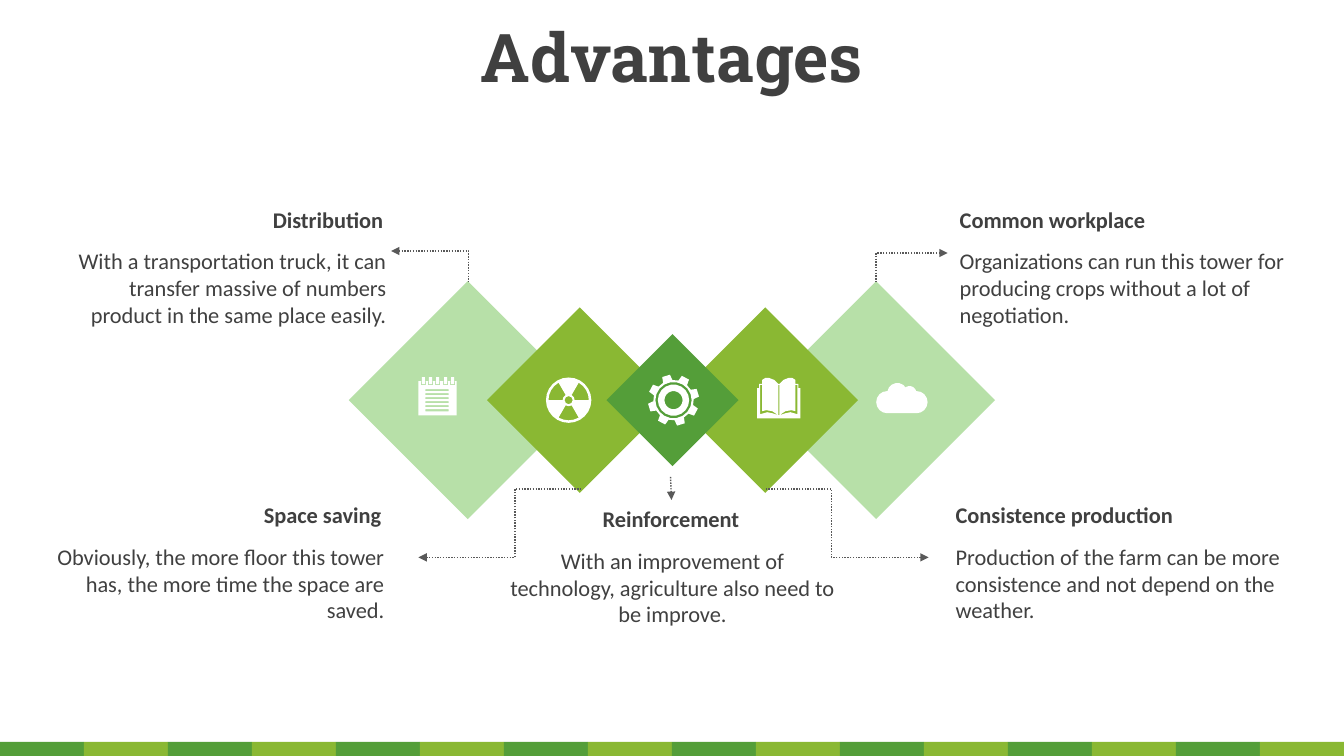
from math import cos, radians, sin

from lxml.etree import SubElement
from pptx import Presentation
from pptx.dml.color import RGBColor
from pptx.enum.dml import MSO_LINE
from pptx.enum.shapes import MSO_CONNECTOR, MSO_SHAPE
from pptx.enum.text import MSO_ANCHOR, MSO_AUTO_SIZE, PP_ALIGN
from pptx.oxml.ns import qn
from pptx.util import Pt

PX = 9144
W, H = 1333, 750
DARK, LIME, PALE = "549E39", "8AB833", "B7E0A8"
WHITE, TEXT, LINE = "FFFFFF", "404040", "595959"


def paint(sp, color):
    sp.shadow.inherit = False
    sp.fill.solid()
    sp.fill.fore_color.rgb = RGBColor.from_string(color)
    sp.line.fill.background()


def arc(cx, cy, r, start, end, steps):
    angles = [radians(start + (end - start) * i / steps) for i in range(steps + 1)]
    return [(cx + r * cos(a), cy + r * sin(a)) for a in angles]


prs = Presentation()
prs.slide_width, prs.slide_height = W * PX, H * PX
s = prs.slides.add_slide(prs.slide_layouts[6])

stripes = 16
for i in range(stripes):
    left, right = i * W * PX // stripes, (i + 1) * W * PX // stripes
    sp = s.shapes.add_shape(MSO_SHAPE.RECTANGLE, left, 736 * PX, right - left, 14 * PX)
    paint(sp, (DARK, LIME)[i % 2])

middle = 397
for cx, size, color in [
    (869, 236, PALE),
    (464, 236, PALE),
    (759, 184, LIME),
    (575, 184, LIME),
    (667, 131, DARK),
]:
    left, top = cx - size / 2, middle - size / 2
    sp = s.shapes.add_shape(
        MSO_SHAPE.DIAMOND, int(left * PX), int(top * PX), size * PX, size * PX
    )
    paint(sp, color)

boxes = [(415, 378, 38, 34)]
boxes += [(422, y, 23, 2) for y in range(386, 407, 4)]
for x in (420, 427, 434, 442, 449):
    boxes += [(x - 2.5, 378, 5, 4), (x - 1.5, 374, 3, 7)]
notepad = [[(x, y), (x + w, y), (x + w, y + h), (x, y + h)] for x, y, w, h in boxes]

radiation = [arc(564, 397, 22.5, 0, 345, 23), arc(564, 397, 4, 0, 315, 7)]
for start in (60, 180, 300):
    radiation.append(
        arc(564, 397, 20, start, start + 60, 4) + arc(564, 397, 6, start + 60, start, 2)
    )

teeth = []
for tooth in range(28, 388, 45):
    teeth += arc(668, 397, 20, tooth - 14, tooth - 14, 1)[:1]
    teeth += arc(668, 397, 25.5, tooth - 9, tooth + 9, 1)
    teeth += arc(668, 397, 20, tooth + 14, tooth + 14, 1)[:1]
gear = [teeth] + [arc(668, 397, r, 0, 340, 17) for r in (18, 15.5, 9)]

cover = [(751, 415), (751, 385), (753, 385), (753, 381), (756, 381), (756, 377),
         (759, 375), (763, 375), (768, 377), (772, 381)]
page_edge = [(754, 382), (756, 382), (756, 408), (760, 407), (766, 408),
             (772, 412), (766, 410), (761, 409), (754, 411)]
spine = [(772, 382), (773, 382), (773, 412), (772, 412)]
book = [
    cover + [(1545 - x, y) for x, y in reversed(cover)],
    page_edge,
    [(1545 - x, y) for x, y in page_edge],
    spine,
]

cloud = [
    arc(880, 399, 11, 90, 270, 8)
    + arc(890, 390, 10, 190, 330, 6)
    + arc(902, 390, 7, 240, 350, 5)
    + arc(909, 399, 11, 270, 450, 8)
]

for icon in (notepad, radiation, gear, book, cloud):
    builder = None
    for outline in icon:
        points = [(round(x * PX), round(y * PX)) for x, y in outline]
        if builder is None:
            builder = s.shapes.build_freeform(*points[0], scale=1.0)
        else:
            builder.move_to(*points[0])
        builder.add_line_segments(points[1:], close=True)
    paint(builder.convert_to_shape(), WHITE)

texts = [(0, 18, W, 84, "Advantages", PP_ALIGN.CENTER, 48, True, "Roboto Slab")]
for left, top, align, heading, body in [
    (49, 199, PP_ALIGN.RIGHT, "Distribution",
     "With a transportation truck, it can transfer massive of numbers product in the same place easily."),
    (47, 492, PP_ALIGN.RIGHT, "Space saving",
     "Obviously, the more floor this tower has, the more time the space are saved."),
    (942, 199, PP_ALIGN.LEFT, "Common workplace",
     "Organizations can run this tower for producing crops without a lot of negotiation."),
    (938, 492, PP_ALIGN.LEFT, "Consistence production",
     "Production of the farm can be more consistence and not depend on the weather."),
    (495, 496, PP_ALIGN.CENTER, "Reinforcement",
     "With an improvement of technology, agriculture also need to be improve."),
]:
    texts.append((left, top, 341, 37, heading, align, 16, True, "Calibri"))
    texts.append((left, top + 41, 344, 91, body, align, 16, False, "Calibri"))

for left, top, width, height, text, align, size, bold, font in texts:
    tf = s.shapes.add_textbox(left * PX, top * PX, width * PX, height * PX).text_frame
    tf.word_wrap = True
    tf.vertical_anchor = MSO_ANCHOR.MIDDLE
    tf.text = text
    p = tf.paragraphs[0]
    p.alignment = align
    if size == 48:
        p.line_spacing = 0.9
        p.space_before = Pt(10)
    else:
        tf.auto_size = MSO_AUTO_SIZE.SHAPE_TO_FIT_TEXT
    f = p.runs[0].font
    f.name, f.size, f.bold = font, Pt(size), bold
    f.color.rgb = RGBColor.from_string(TEXT)

for preset, tip_x, tip_y, end_x, end_y in [
    ("bentConnector2", 388, 249, 465, 279),
    ("bentConnector2", 940, 251, 869, 279),
    ("line", 666, 496, 665, 472),
    ("bentConnector3", 415, 553, 576, 485),
    ("bentConnector3", 921, 553, 759, 485),
]:
    kind = MSO_CONNECTOR.STRAIGHT if preset == "line" else MSO_CONNECTOR.ELBOW
    c = s.shapes.add_connector(kind, tip_x * PX, tip_y * PX, end_x * PX, end_y * PX)
    c.line.color.rgb = RGBColor.from_string(LINE)
    c.line.width = Pt(1)
    c.line.dash_style = MSO_LINE.ROUND_DOT
    spPr = c._element.spPr
    SubElement(spPr.find(qn("a:ln")), qn("a:headEnd"), type="triangle")
    SubElement(spPr, qn("a:effectLst"))
    geom = spPr.find(qn("a:prstGeom"))
    geom.set("prst", preset)
    if preset == "bentConnector3":
        SubElement(geom.find(qn("a:avLst")), qn("a:gd"), name="adj1", fmla="val 59500")

prs.save("out.pptx")
